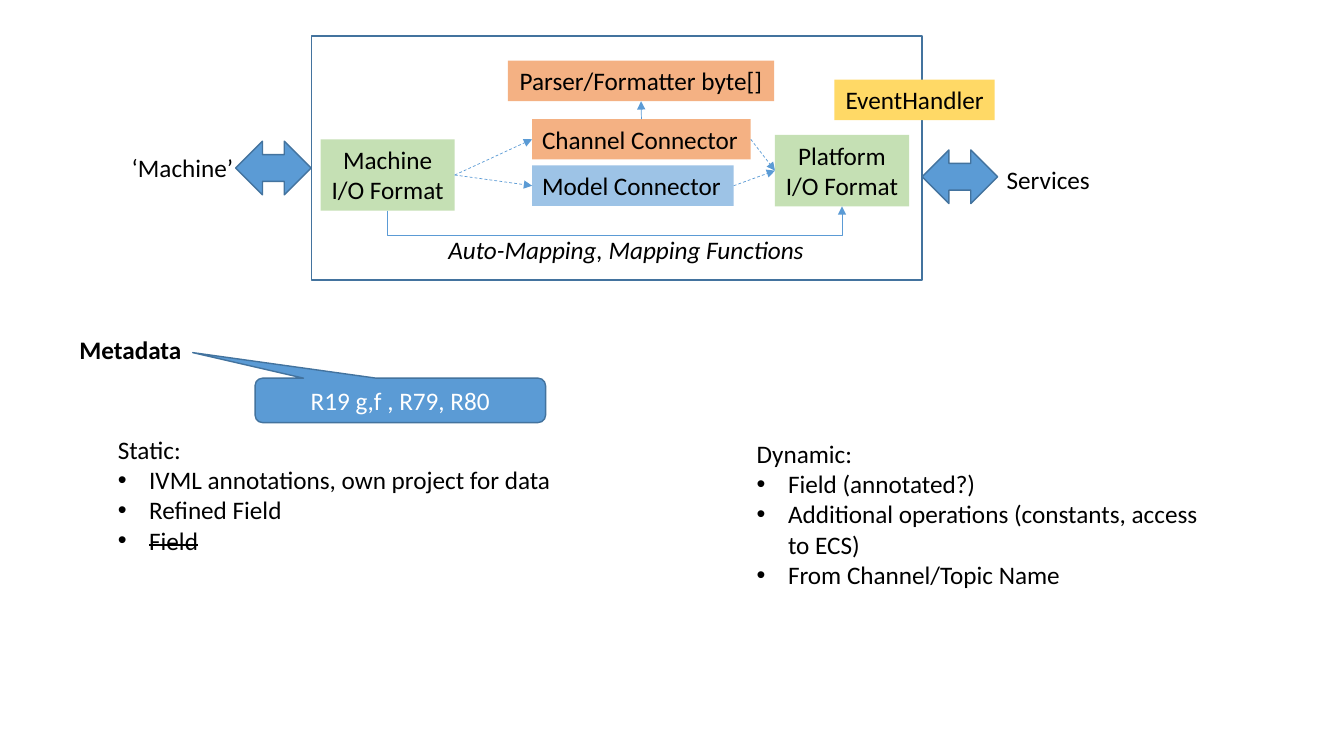
"""Build the connector architecture slide with its metadata notes."""
import pptx
import pptx.dml.color
import pptx.enum.dml
import pptx.enum.shapes
import pptx.enum.text
import pptx.oxml
import pptx.oxml.ns
import pptx.util
from lxml import etree

Cm = pptx.util.Cm
Pt = pptx.util.Pt
SHAPE = pptx.enum.shapes.MSO_SHAPE
CONNECTOR = pptx.enum.shapes.MSO_CONNECTOR
CENTER = pptx.enum.text.PP_ALIGN.CENTER
LEFT = pptx.enum.text.PP_ALIGN.LEFT
TOP, LEFT_SIDE, BOTTOM, RIGHT_SIDE = range(4)
LINE_HEIGHT = 1.02
COLORS = {
    "text": "000000",
    "white": "FFFFFF",
    "accent": "5B9BD5",
    "outline": "43739E",
    "model": "9DC3E6",
    "format": "C5E0B4",
    "channel": "F4B183",
    "event": "FFD966",
}


def color(name):
    return pptx.dml.color.RGBColor.from_string(COLORS[name])


def add_xml(parent, tag, **attributes):
    return etree.SubElement(parent, pptx.oxml.ns.qn(tag), attributes)


def style_paragraph(para, align=LEFT, ink="text", bold=False, italic=False):
    para.alignment = align
    para.font.name = "Calibri"
    para.font.size = Pt(18)
    para.font.bold = bold
    para.font.italic = italic
    para.font.color.rgb = color(ink)


def add_label(page, area, text, fill=None, wrap=False, **style):
    box = page.shapes.add_textbox(*map(Cm, area))
    frame = box.text_frame
    frame.word_wrap = wrap
    frame.auto_size = pptx.enum.text.MSO_AUTO_SIZE.SHAPE_TO_FIT_TEXT
    frame.text = text
    for para in frame.paragraphs:
        style_paragraph(para, **style)
    if fill:
        box.fill.solid()
        box.fill.fore_color.rgb = color(fill)
    return box


def add_outlined(page, kind, area, fill=None):
    shape = page.shapes.add_shape(kind, *map(Cm, area))
    shape.shadow.inherit = False
    if fill:
        shape.fill.solid()
        shape.fill.fore_color.rgb = color(fill)
    else:
        shape.fill.background()
    shape.line.color.rgb = color("outline")
    shape.line.width = Pt(1)
    return shape


def add_callout(page, area, text):
    callout = add_outlined(page, SHAPE.ROUNDED_RECTANGULAR_CALLOUT, area, "accent")
    for index, value in enumerate((-0.715, -1.075, 0.167)):
        callout.adjustments[index] = value
    callout.text_frame.text = text
    style_paragraph(callout.text_frame.paragraphs[0], CENTER, "white")


def add_list(page, area, heading, items, struck=()):
    box = add_label(page, area, "\n".join([heading, *items]), wrap=True)
    for para in box.text_frame.paragraphs[1:]:
        props = para._p.get_or_add_pPr()
        props.set("marL", str(Cm(0.79)))
        props.set("indent", str(-Cm(0.79)))
        font = add_xml(props, "a:buFont", typeface="Arial")
        bullet = add_xml(props, "a:buChar", char="•")
        props.insert(0, font)
        props.insert(1, bullet)
        if para.text in struck:
            para.runs[0].font._element.set("strike", "sngStrike")


def style_arrow(arrow, dashed=False):
    arrow.line.color.rgb = color("accent")
    arrow.line.width = Pt(0.5)
    if dashed:
        arrow.line.dash_style = pptx.enum.dml.MSO_LINE.DASH
    add_xml(arrow.line._get_or_add_ln(), "a:tailEnd", type="triangle")
    add_xml(arrow._element.spPr, "a:effectLst")


def add_arrow(page, source, source_side, target, target_side, dashed=True):
    arrow = page.shapes.add_connector(CONNECTOR.STRAIGHT, 0, 0, 0, 0)
    arrow.begin_connect(source, source_side)
    arrow.end_connect(target, target_side)
    style_arrow(arrow, dashed)


def add_loop_below(page, source, target, drop):
    """Run an elbow arrow from under source, down by drop, up to target."""
    start_x, end_x = (box.left + box.width // 2 for box in (source, target))
    start_y, end_y = (box.top + box.height for box in (source, target))
    span, rise = end_x - start_x, start_y - end_y
    left = (start_x + end_x - rise) // 2
    top = (start_y + end_y - span) // 2
    arrow = page.shapes.add_connector(
        CONNECTOR.ELBOW, left, top, left + rise, top + span)
    frame = arrow._element.spPr.xfrm
    for name, value in (("rot", "5400000"), ("flipH", "1"), ("flipV", "1")):
        frame.set(name, value)
    guides = arrow._element.spPr.find(".//" + pptx.oxml.ns.qn("a:avLst"))
    bend = round(-drop / rise * 100000)
    add_xml(guides, "a:gd", name="adj1", fmla=f"val {bend}")
    style_arrow(arrow)


def add_architecture(page):
    model = add_label(page, (13.41, 4.17, 5.08, LINE_HEIGHT),
                      "Model Connector", "model")
    machine = add_label(page, (8.08, 3.51, 3.38, 1.8),
                        "Machine\nI/O Format", "format", align=CENTER)
    platform = add_label(page, (19.53, 3.4, 3.38, 1.8),
                         "Platform\nI/O Format", "format", align=CENTER)
    parser = add_label(page, (12.8, 1.53, 6.71, LINE_HEIGHT),
                       "Parser/Formatter byte[]", "channel", align=CENTER)
    channel = add_label(page, (13.41, 3, 5.51, LINE_HEIGHT),
                        "Channel Connector", "channel")
    add_label(page, (3.05, 3.71, 3.1, LINE_HEIGHT), "‘Machine’", align=CENTER)
    add_label(page, (25.1, 4.01, 2.64, LINE_HEIGHT), "Services", align=CENTER)
    add_label(page, (11.05, 5.79, 9.55, LINE_HEIGHT),
              "Auto-Mapping, Mapping Functions", italic=True)
    for left, top in ((5.94, 3.56), (23.24, 3.78)):
        add_outlined(page, SHAPE.LEFT_RIGHT_ARROW, (left, top, 1.9, 1.35), "accent")
    add_outlined(page, SHAPE.RECTANGLE, (7.85, 0.91, 15.39, 6.15))
    for connector in (model, channel):
        add_arrow(page, machine, RIGHT_SIDE, connector, LEFT_SIDE)
        add_arrow(page, connector, RIGHT_SIDE, platform, LEFT_SIDE)
    add_arrow(page, channel, TOP, parser, BOTTOM, dashed=False)
    add_loop_below(page, machine, platform, Cm(0.63))
    add_label(page, (21.03, 2.01, 4.04, LINE_HEIGHT),
              "EventHandler", "event", align=CENTER)


def add_metadata(page):
    add_label(page, (1.75, 8.31, 3.71, LINE_HEIGHT), "Metadata", wrap=True, bold=True)
    add_list(page, (2.72, 10.82, 11.63, 3.33), "Static:",
             ["IVML annotations, own project for data", "Refined Field", "Field"],
             struck=("Field",))
    add_list(page, (18.82, 10.92, 11.63, 4.11), "Dynamic:",
             ["Field (annotated?)",
              "Additional operations (constants, access to ECS)",
              "From Channel/Topic Name"])
    add_callout(page, (6.43, 9.53, 7.32, 1.12), "R19 g,f , R79, R80")


def main():
    deck = pptx.Presentation()
    deck.slide_width = Cm(33.87)
    deck.slide_height = Cm(19.05)
    page = deck.slides.add_slide(deck.slide_layouts[6])
    add_architecture(page)
    add_metadata(page)
    deck.save("out.pptx")


if __name__ == "__main__":
    main()
